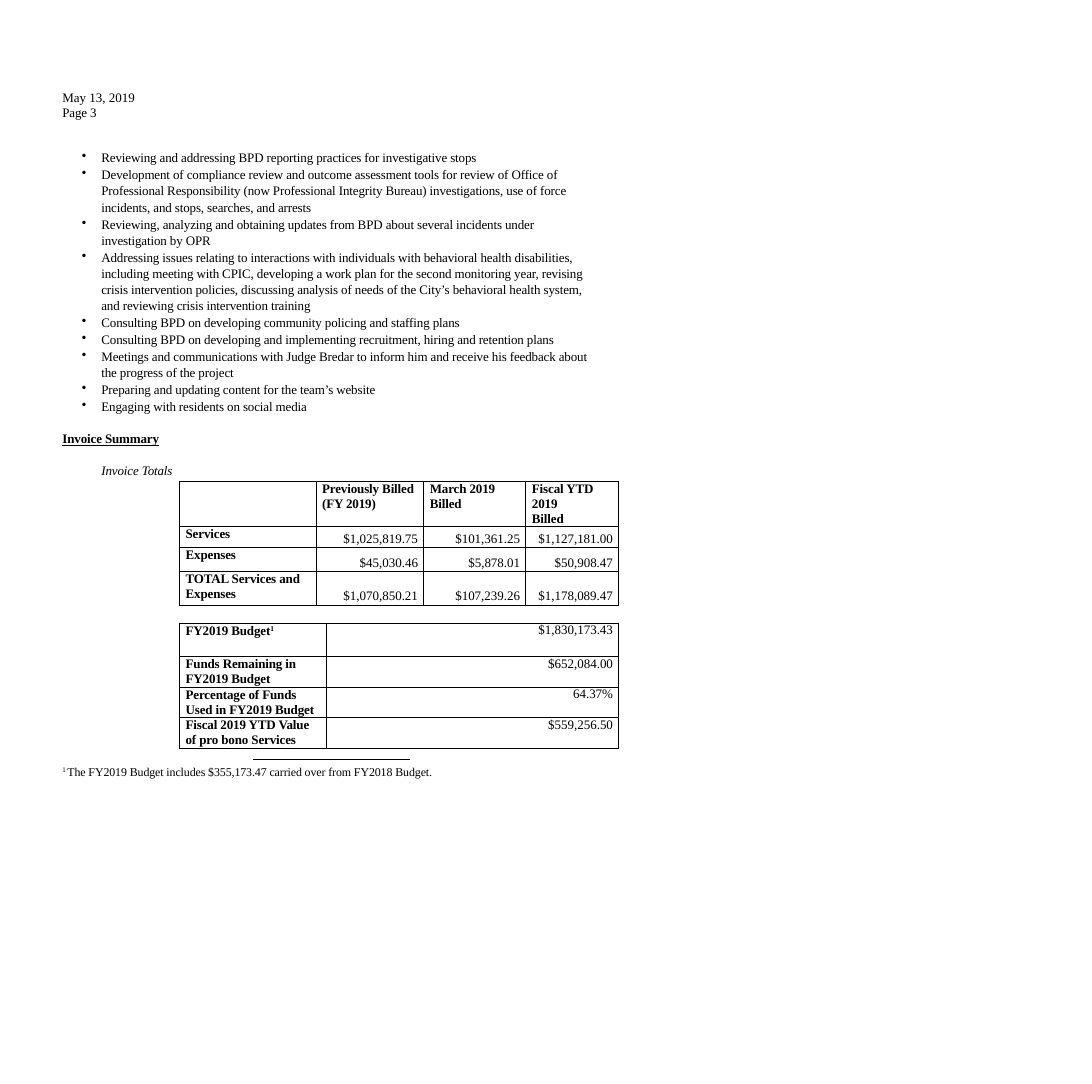
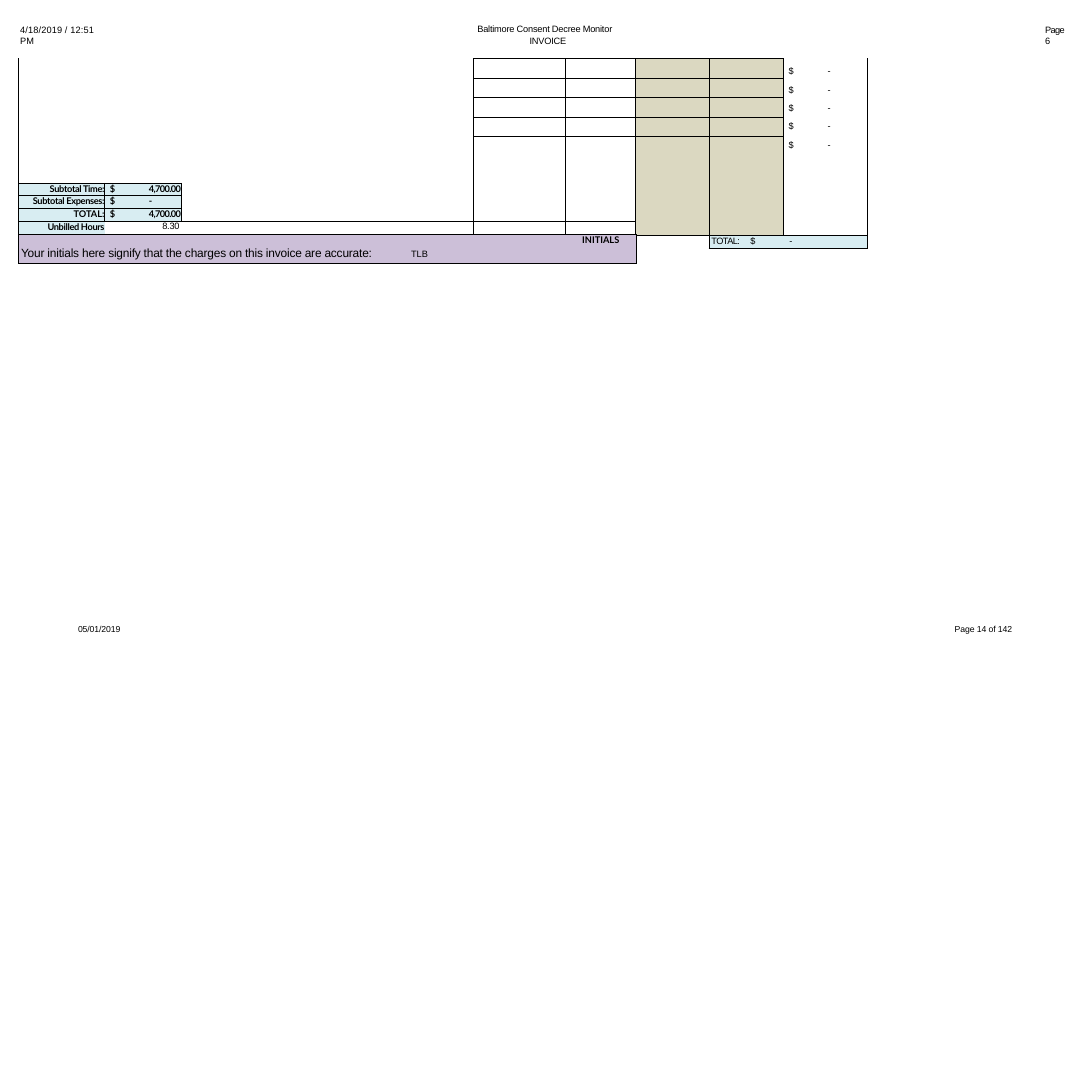
"""Build two billing pages: an invoice summary letter page and an invoice sheet."""
from dataclasses import dataclass, field, replace
from typing import Optional, Union

from lxml import etree
from pptx import Presentation
from pptx.dml.color import RGBColor
from pptx.enum.shapes import MSO_CONNECTOR
from pptx.enum.text import MSO_ANCHOR, PP_ALIGN
from pptx.oxml.ns import qn
from pptx.util import Inches, Pt

BLACK = RGBColor(0x00, 0x00, 0x00)
TAN = RGBColor(0xDB, 0xD8, 0xC1)
PALE_BLUE = RGBColor(0xD8, 0xED, 0xF2)
LILAC = RGBColor(0xCC, 0xBF, 0xD8)
SERIF, SANS, LABEL_FONT = "Times New Roman", "Arial", "Lato"
LEFT, RIGHT = PP_ALIGN.LEFT, PP_ALIGN.RIGHT
TOP = MSO_ANCHOR.TOP
STRAIGHT = MSO_CONNECTOR.STRAIGHT
NO_STYLE_NO_GRID = "{2D5ABB26-0587-4C30-8999-92F81FD0307C}"
THIN, THICK = 0.75, 1.5


@dataclass(frozen=True)
class Line:
    """A paragraph; ^ marks switch superscript on and off, and \\v breaks the line."""
    text: str
    size: float = 12
    font: str = SERIF
    bold: bool = False
    italic: bool = False
    underline: bool = False
    tracking: float = -0.1
    align: PP_ALIGN = LEFT
    indent: float = 0
    first: float = 0
    before: float = 0
    leading: Optional[Union[float, Pt]] = None
    tabs: tuple[float, ...] = ()
    bullet: str = ""


@dataclass(frozen=True)
class Cell:
    """A table cell with its text, fill, edges, margins and span."""
    lines: tuple[Line, ...] = ()
    fill: Optional[RGBColor] = None
    edges: dict[str, float] = field(default_factory=dict)
    margin_top: float = 0
    margin_right: float = 0
    rows: int = 1
    columns: int = 1


@dataclass(frozen=True)
class TextBox:
    """A text box with its place and paragraphs."""
    left: float
    top: float
    width: float
    height: float
    lines: tuple[Line, ...]
    margin_top: float = 0


def box_edges(width: float) -> dict[str, float]:
    """Return the same width for all four edges."""
    return dict.fromkeys("LRTB", width)


def write_line(paragraph, line: Line) -> None:
    """Write and format one paragraph."""
    properties = paragraph._p.get_or_add_pPr()
    properties.set("marL", str(Inches(line.indent)))
    properties.set("indent", str(Inches(line.first)))
    paragraph.alignment = line.align
    paragraph.space_before = Pt(line.before)
    if line.leading:
        paragraph.line_spacing = line.leading
    if line.bullet:
        etree.SubElement(properties, qn("a:buChar"), char=line.bullet)
    if line.tabs:
        tab_list = etree.SubElement(properties, qn("a:tabLst"))
        for position in line.tabs:
            etree.SubElement(tab_list, qn("a:tab"), pos=str(Inches(position)), algn="l")
    font = paragraph.font
    font.name, font.size = line.font, Pt(line.size)
    font.bold, font.italic, font.underline = line.bold, line.italic, line.underline
    font.color.rgb = BLACK
    for index, part in enumerate(line.text.split("^")):
        for number, piece in enumerate(part.split("\v")):
            if number:
                paragraph.add_line_break()
            if not piece:
                continue
            run = paragraph.add_run()
            run.text = piece
            run_properties = run._r.get_or_add_rPr()
            run_properties.set("spc", str(round(line.tracking * 100)))
            if index % 2:
                run_properties.set("baseline", "30000")


def write_lines(text_frame, lines: tuple[Line, ...]) -> None:
    """Write paragraphs into a text frame."""
    for index, line in enumerate(lines):
        write_line(text_frame.add_paragraph() if index else text_frame.paragraphs[0], line)


def add_text(slide, box: TextBox) -> None:
    """Add a wrapping text box."""
    shape = slide.shapes.add_textbox(
        Inches(box.left), Inches(box.top), Inches(box.width), Inches(box.height))
    frame = shape.text_frame
    frame.word_wrap = True
    frame.margin_left = frame.margin_right = frame.margin_bottom = 0
    frame.margin_top = Inches(box.margin_top)
    write_lines(frame, box.lines)


def draw_edges(table_cell, edges: dict[str, float]) -> None:
    """Draw the given cell edges in black."""
    properties = table_cell._tc.get_or_add_tcPr()
    for side in "LRTB":
        if side in edges:
            line = etree.SubElement(properties, qn(f"a:ln{side}"), w=str(Pt(edges[side])))
            fill = etree.SubElement(line, qn("a:solidFill"))
            etree.SubElement(fill, qn("a:srgbClr"), val=str(BLACK))


def add_table(slide, left: float, top: float, widths: tuple[float, ...],
              heights: tuple[float, ...], cells: dict[tuple[int, int], Cell]) -> None:
    """Add a table from cells keyed by row and column."""
    table = slide.shapes.add_table(
        len(heights), len(widths), Inches(left), Inches(top),
        Inches(sum(widths)), Inches(sum(heights))).table
    table.first_row = table.horz_banding = False
    table._tbl.tblPr.find(qn("a:tableStyleId")).text = NO_STYLE_NO_GRID
    for column, width in zip(table.columns, widths):
        column.width = Inches(width)
    for row, height in zip(table.rows, heights):
        row.height = Inches(height)
    for row in range(len(heights)):
        for column in range(len(widths)):
            cell = cells.get((row, column), Cell())
            table_cell = table.cell(row, column)
            table_cell.margin_left = table_cell.margin_bottom = 0
            table_cell.margin_top = Inches(cell.margin_top)
            table_cell.margin_right = Inches(cell.margin_right)
            table_cell.vertical_anchor = TOP
            draw_edges(table_cell, cell.edges)
            if cell.fill is None:
                table_cell.fill.background()
            else:
                table_cell.fill.solid()
                table_cell.fill.fore_color.rgb = cell.fill
            if cell.lines:
                write_lines(table_cell.text_frame, cell.lines)
            else:
                paragraph = table_cell.text_frame.paragraphs[0]
                paragraph._p.get_or_add_endParaRPr().set("sz", "800")
    for (row, column), cell in cells.items():
        if cell.rows * cell.columns > 1:
            table.cell(row, column).merge(
                table.cell(row + cell.rows - 1, column + cell.columns - 1))


def add_rule(slide, left: float, top: float, width: float) -> None:
    """Add a thin horizontal rule."""
    rule = slide.shapes.add_connector(
        STRAIGHT, Inches(left), Inches(top), Inches(left + width), Inches(top))
    rule.line.color.rgb = BLACK
    rule.line.width = Pt(0.72)
    etree.SubElement(rule._element.spPr, qn("a:effectLst"))


WORK_ITEMS = (
    "Reviewing and addressing BPD reporting practices for investigative stops",
    "Development of compliance review and outcome assessment tools for review of Office of "
    "Professional Responsibility (now Professional Integrity Bureau) investigations, use of "
    "force incidents, and stops, searches, and arrests",
    "Reviewing, analyzing and obtaining updates from BPD about several incidents under "
    "investigation by OPR",
    "Addressing issues relating to interactions with individuals with behavioral health "
    "disabilities, including meeting with CPIC, developing a work plan for the second "
    "monitoring year, revising crisis intervention policies, discussing analysis of needs of "
    "the City’s behavioral health system, and reviewing crisis intervention training",
    "Consulting BPD on developing community policing and staffing plans",
    "Consulting BPD on developing and implementing recruitment, hiring and retention plans",
    "Meetings and communications with Judge Bredar to inform him and receive his feedback "
    "about the progress of the project",
    "Preparing and updating content for the team’s website",
    "Engaging with residents on social media",
)
TOTALS_HEADER = ("", "Previously Billed\v(FY 2019)", "March 2019\vBilled",
                 "Fiscal YTD\v2019\vBilled")
TOTALS = (
    (0.06, ("Services", "$1,025,819.75", "$101,361.25", "$1,127,181.00")),
    (0.1, ("Expenses", "$45,030.46", "$5,878.01", "$50,908.47")),
    (0.22, ("TOTAL Services and\vExpenses", "$1,070,850.21", "$107,239.26", "$1,178,089.47")),
)
BUDGET = (
    ("FY2019 Budget^1^", "$1,830,173.43"),
    ("Funds Remaining in\vFY2019 Budget", "$652,084.00"),
    ("Percentage of Funds\vUsed in FY2019 Budget", "64.37%"),
    ("Fiscal 2019 YTD Value\vof pro bono Services", "$559,256.50"),
)


def label_cell(text: str) -> Cell:
    """Return a bold label cell of the summary tables."""
    line = Line(text, bold=True, indent=0.08, leading=Pt(13.8))
    return Cell((line,) if text else (), edges=box_edges(0.5))


def amount_cell(text: str, leading: float, margin_top: float = 0) -> Cell:
    """Return a right-aligned amount cell of the summary tables."""
    line = Line(text, tracking=0, align=RIGHT, leading=Pt(leading))
    return Cell((line,), edges=box_edges(0.5), margin_top=margin_top, margin_right=0.07)


def build_summary(slide) -> None:
    """Build the invoice summary page."""
    bullets = tuple(
        Line(text, indent=0.51, first=-0.25, bullet="•", leading=1.03 if len(text) > 95 else None,
             before=1.1 if index else 27.2)
        for index, text in enumerate(WORK_ITEMS))
    add_text(slide, TextBox(0.79, 1.14, 6.9, 5.02, (
        Line("May 13, 2019", indent=0.01, tracking=0, leading=Pt(14.1)),
        Line("Page 3", indent=0.01, leading=Pt(14.1)),
        *bullets,
        Line("Invoice Summary", bold=True, underline=True, indent=0.01, before=15.6),
        Line("Invoice Totals", italic=True, indent=0.51, before=15.1)), 0.01))
    totals = {(0, column): label_cell(text) for column, text in enumerate(TOTALS_HEADER)}
    for row, (margin_top, (label, *amounts)) in enumerate(TOTALS, 1):
        totals[row, 0] = label_cell(label)
        for column, amount in enumerate(amounts, 1):
            totals[row, column] = amount_cell(amount, 14.2, margin_top)
    add_table(slide, 2.3, 6.17, (1.75, 1.38, 1.31, 1.19), (0.39, 0.27, 0.31, 0.43), totals)
    budget = {}
    for row, (label, amount) in enumerate(BUDGET):
        budget[row, 0], budget[row, 1] = label_cell(label), amount_cell(amount, 13.4)
    add_table(slide, 2.3, 7.99, (1.88, 3.75), (0.43, 0.39, 0.39, 0.39), budget)
    add_rule(slide, 3.25, 9.74, 2)
    add_text(slide, TextBox(0.79, 9.79, 4.87, 0.21, (
        Line("^1 ^The FY2019 Budget includes $355,173.47 carried over from FY2018 Budget.",
             size=11, indent=0.01),), 0.01))


def build_invoice(slide) -> None:
    """Build the invoice sheet page."""
    small = Line("", size=8.5, font=SANS, indent=0.01)
    footer = replace(small, size=8)
    boxes = (
        TextBox(0.99, 8, 0.58, 0.15, (replace(footer, text="05/01/2019"),)),
        TextBox(12.17, 8, 0.84, 0.15, (replace(footer, text="Page 14 of 142", indent=0.07),)),
        TextBox(0.25, 0.29, 1.16, 0.18,
                (replace(small, text="4/18/2019 / 12:51\vPM", tracking=0.1),), 0.02),
        TextBox(6.11, 0.27, 1.78, 0.35,
                (replace(small, text="Baltimore Consent Decree Monitor\vINVOICE", tracking=-0.2,
                         indent=0.68, first=-0.67, leading=1.13),), 0.01),
        TextBox(13.39, 0.29, 0.36, 0.18, (replace(small, text="Page\v6", tracking=-0.6),), 0.02),
    )
    for box in boxes:
        add_text(slide, box)

    grid = box_edges(THIN)
    dash = replace(small, text="$\t-", indent=0.07, tabs=(0.86,))
    dashes = tuple(replace(dash, before=7.5 if index else 0) for index in range(5))
    charges = {(row, column): Cell(fill=TAN if column > 2 else None, edges=grid)
               for row in range(5) for column in range(1, 5)}
    charges[0, 0] = Cell(edges={"L": THICK, "R": THIN}, rows=5)
    charges[0, 5] = Cell(dashes, edges={"L": THIN, "R": THIN}, margin_top=0.1, rows=5)
    charges[5, 0] = Cell(columns=4)
    charges[5, 4] = Cell((replace(small, text="TOTAL:\t$\t-", tracking=-0.5, indent=0.03,
                                  leading=Pt(10.1), tabs=(1.02, 1.81)),),
                         PALE_BLUE, grid, columns=2)
    add_table(slide, 0.24, 0.75, (5.83, 1.18, 0.9, 0.94, 0.95, 1.08),
              (0.25, 0.25, 0.25, 0.25, 1.27, 0.17), charges)

    label = Line("", size=8.5, font=LABEL_FONT, bold=True, tracking=-0.3, align=RIGHT)
    subtotals = {(0, 2): Cell(edges={"B": THICK}, rows=3)}
    for row, (name, amount, tab) in enumerate((
            ("Subtotal Time:", "4,700.00", 0.48), ("Subtotal Expenses:", "-", 0.76),
            ("TOTAL:", "4,700.00", 0.48))):
        edges = {**grid, "B": THICK if row == 2 else THIN}
        value = replace(label, text=f"$\t{amount}", tracking=-0.6, align=LEFT, indent=0.07,
                        tabs=(tab,))
        name_line = replace(label, text=name, tracking=0 if row == 2 else -0.3)
        subtotals[row, 0] = Cell((name_line,), PALE_BLUE, {**edges, "L": THICK})
        subtotals[row, 1] = Cell((value,), PALE_BLUE, edges)
    subtotals[3, 0] = Cell((replace(label, text="Unbilled Hours"),), PALE_BLUE,
                           {"L": THICK, "T": THICK})
    subtotals[3, 1] = Cell((replace(small, text="8.30", indent=0.74, tracking=-0.2),),
                           edges={"T": THICK}, columns=2)
    subtotals[4, 0] = Cell((
        replace(label, text="INITIALS", tracking=0),
        Line("Your initials here signify that the charges on this invoice are accurate:\tTLB",
             size=11, font=SANS, tracking=-0.2, indent=0.03, before=0.9, tabs=(7.08,))),
        LILAC, box_edges(THICK), margin_right=0.22, columns=3)
    add_table(slide, 0.24, 2.35, (1.1, 0.98, 5.84), (0.16, 0.16, 0.17, 0.17, 0.37), subtotals)
    signature = slide.shapes[-1].table.cell(4, 0).text_frame.paragraphs[1]
    statement, initials = signature.runs[0].text.split("\t")
    signature.runs[0].text = f"{statement}\t"
    run = signature.add_run()
    run.text, run.font.size = initials, Pt(8.5)


def main() -> None:
    """Build and save the presentation."""
    presentation = Presentation()
    presentation.slide_width, presentation.slide_height = Inches(14), Inches(13.9)
    blank = presentation.slide_layouts[6]
    for build in (build_summary, build_invoice):
        build(presentation.slides.add_slide(blank))
    presentation.save("out.pptx")


if __name__ == "__main__":
    main()
